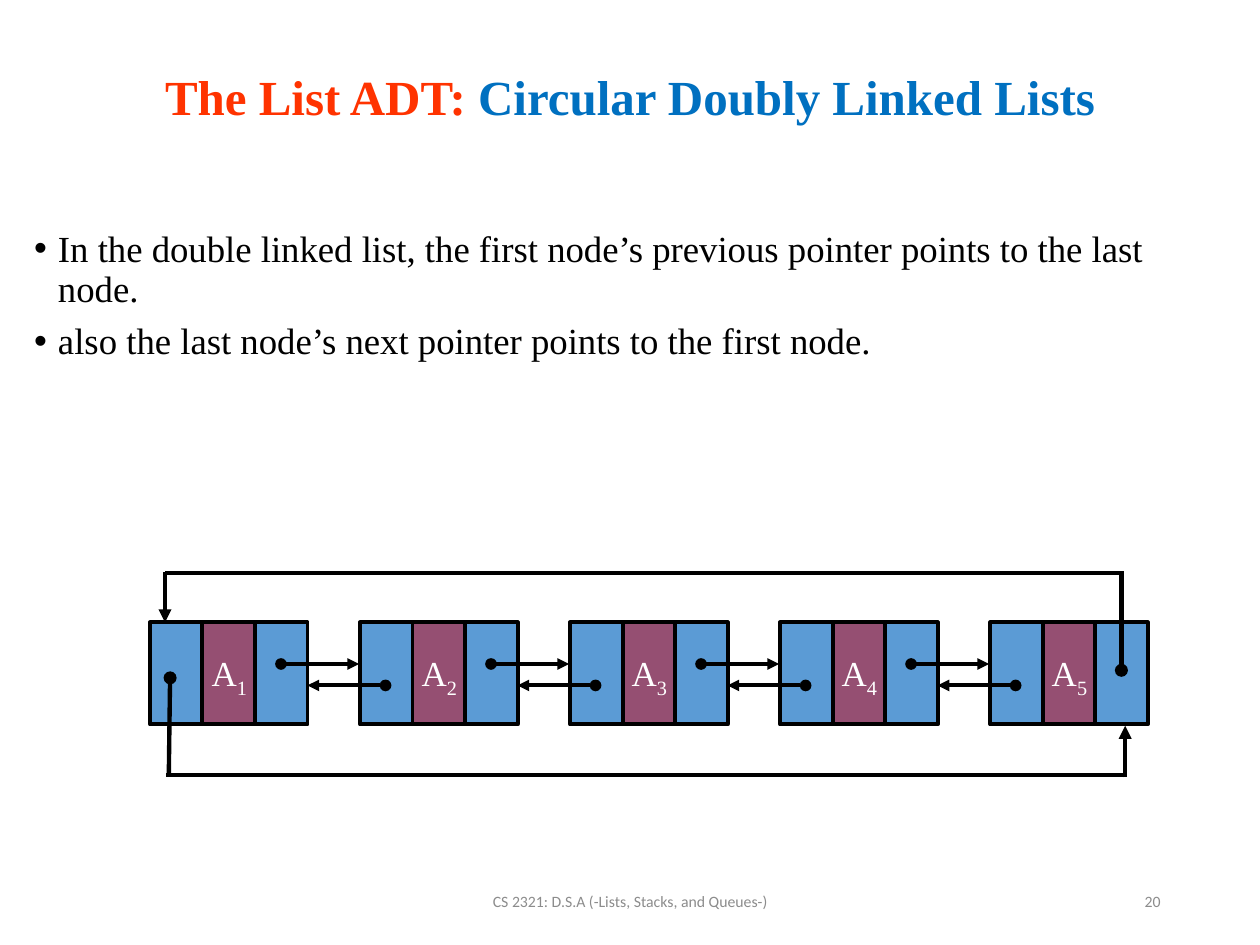
from pptx import Presentation
from pptx.dml.color import RGBColor
from pptx.enum.shapes import MSO_CONNECTOR, MSO_SHAPE
from pptx.enum.text import MSO_ANCHOR, MSO_AUTO_SIZE, PP_ALIGN
from pptx.oxml.ns import qn
from pptx.util import Inches, Pt
from lxml.etree import SubElement


def color(value):
    return RGBColor.from_string(value)


def add_line(shapes, start, end, width, head=None, tail=None):
    points = [Inches(value) for value in (*start, *end)]
    connector = shapes.add_connector(MSO_CONNECTOR.STRAIGHT, *points)
    connector.line.color.rgb = color("000000")
    connector.line.width = Pt(width)
    line = connector.line._get_or_add_ln()
    for tag, kind in (("a:headEnd", head), ("a:tailEnd", tail)):
        if kind:
            SubElement(line, qn(tag), type=kind)
    SubElement(connector._element.spPr, qn("a:effectLst"))


presentation = Presentation()
presentation.slide_width = Inches(10)
presentation.slide_height = Inches(7.5)
slide = presentation.slides.add_slide(presentation.slide_layouts[1])

title = slide.shapes.title
title.left, title.top = Inches(0), Inches(0.46)
title.width, title.height = Inches(10), Inches(0.61)
title.text_frame.auto_size = MSO_AUTO_SIZE.NONE
title.text_frame.vertical_anchor = MSO_ANCHOR.MIDDLE
paragraph = title.text_frame.paragraphs[0]
paragraph.alignment = PP_ALIGN.CENTER
paragraph.font.name = "Times New Roman"
paragraph.font.size = Pt(28)
paragraph.font.bold = True
for text, shade in (("The List ADT: ", "FF3300"), ("Circular Doubly Linked Lists", "0070C0")):
    run = paragraph.add_run()
    run.text = text
    run.font.color.rgb = color(shade)

body = slide.placeholders[1]
body.left, body.top = Inches(0.17), Inches(1.78)
body.width, body.height = Inches(9.67), Inches(5.55)
body.text_frame.auto_size = MSO_AUTO_SIZE.NONE
body.text_frame.text = (
    "In the double linked list, the first node’s previous pointer points to the last node.\n"
    "also the last node’s next pointer points to the first node."
)
for index, paragraph in enumerate(body.text_frame.paragraphs):
    paragraph.line_spacing = 0.9
    paragraph.space_before = Pt(7.5 if index else 0)
    properties = paragraph._p.get_or_add_pPr()
    properties.set("marL", str(Inches(0.19)))
    properties.set("indent", str(-Inches(0.19)))
    SubElement(properties, qn("a:buFont"), typeface="Arial")
    SubElement(properties, qn("a:buChar"), char="•")
    paragraph.font.name = "Times New Roman"
    paragraph.font.size = Pt(21)
    paragraph.font.color.rgb = color("000000")

node_count = 5
node_pitch = 1.667
cell_pitch = 0.417
node_top = 4.94
diagram = slide.shapes.add_group_shape().shapes
for node in range(node_count):
    left = 1.19 + node * node_pitch
    for cell, fill in enumerate(("5B9BD5", "954F72", "5B9BD5")):
        box = diagram.add_shape(
            MSO_SHAPE.RECTANGLE, Inches(left + cell * cell_pitch), Inches(node_top),
            Inches(cell_pitch), Inches(0.81))
        box.shadow.inherit = False
        box.fill.solid()
        box.fill.fore_color.rgb = color(fill)
        box.line.color.rgb = color("000000")
        box.line.width = Pt(2.25)

    label = diagram.add_textbox(Inches(left + 0.38), Inches(5.12), Inches(0.5), Inches(0.44))
    label.text_frame.word_wrap = False
    paragraph = label.text_frame.paragraphs[0]
    paragraph.alignment = PP_ALIGN.CENTER
    paragraph.font.name = "Times New Roman"
    paragraph.font.size = Pt(20)
    paragraph.font.color.rgb = color("FFFFFF")
    paragraph.add_run().text = "A"
    subscript = paragraph.add_run()
    subscript.text = str(node + 1)
    subscript._r.get_or_add_rPr().set("baseline", "-25000")

for node in range(node_count - 1):
    left = 1.19 + node * node_pitch
    add_line(diagram, (left + 1.04, 5.27), (left + 1.66, 5.27), 2.25, "oval", "triangle")
    add_line(diagram, (left + 1.87, 5.44), (left + 1.25, 5.44), 2.25, "oval", "triangle")

loop_lines = [
    ((8.9, 5.32), (8.9, 4.56), "oval", None),
    ((8.92, 4.55), (1.31, 4.55), None, None),
    ((1.31, 4.54), (1.31, 4.94), None, "triangle"),
    ((1.35, 5.38), (1.34, 6.14), "oval", None),
    ((1.32, 6.15), (8.93, 6.15), None, None),
    ((8.93, 6.17), (8.93, 5.76), None, "triangle"),
]
for start, end, head, tail in loop_lines:
    add_line(diagram, start, end, 2.5, head, tail)

footers = [
    ("CS 2321: D.S.A (-Lists, Stacks, and Queues-)", 3.31, 3.38, PP_ALIGN.CENTER),
    ("20", 7.06, 2.25, PP_ALIGN.RIGHT),
]
for text, left, width, alignment in footers:
    footer = slide.shapes.add_textbox(Inches(left), Inches(6.95), Inches(width), Inches(0.4))
    footer.text_frame.word_wrap = True
    footer.text_frame.vertical_anchor = MSO_ANCHOR.MIDDLE
    paragraph = footer.text_frame.paragraphs[0]
    paragraph.text = text
    paragraph.alignment = alignment
    paragraph.font.name = "Calibri"
    paragraph.font.size = Pt(9)
    paragraph.font.color.rgb = color("8C8C8C")

presentation.save("out.pptx")
